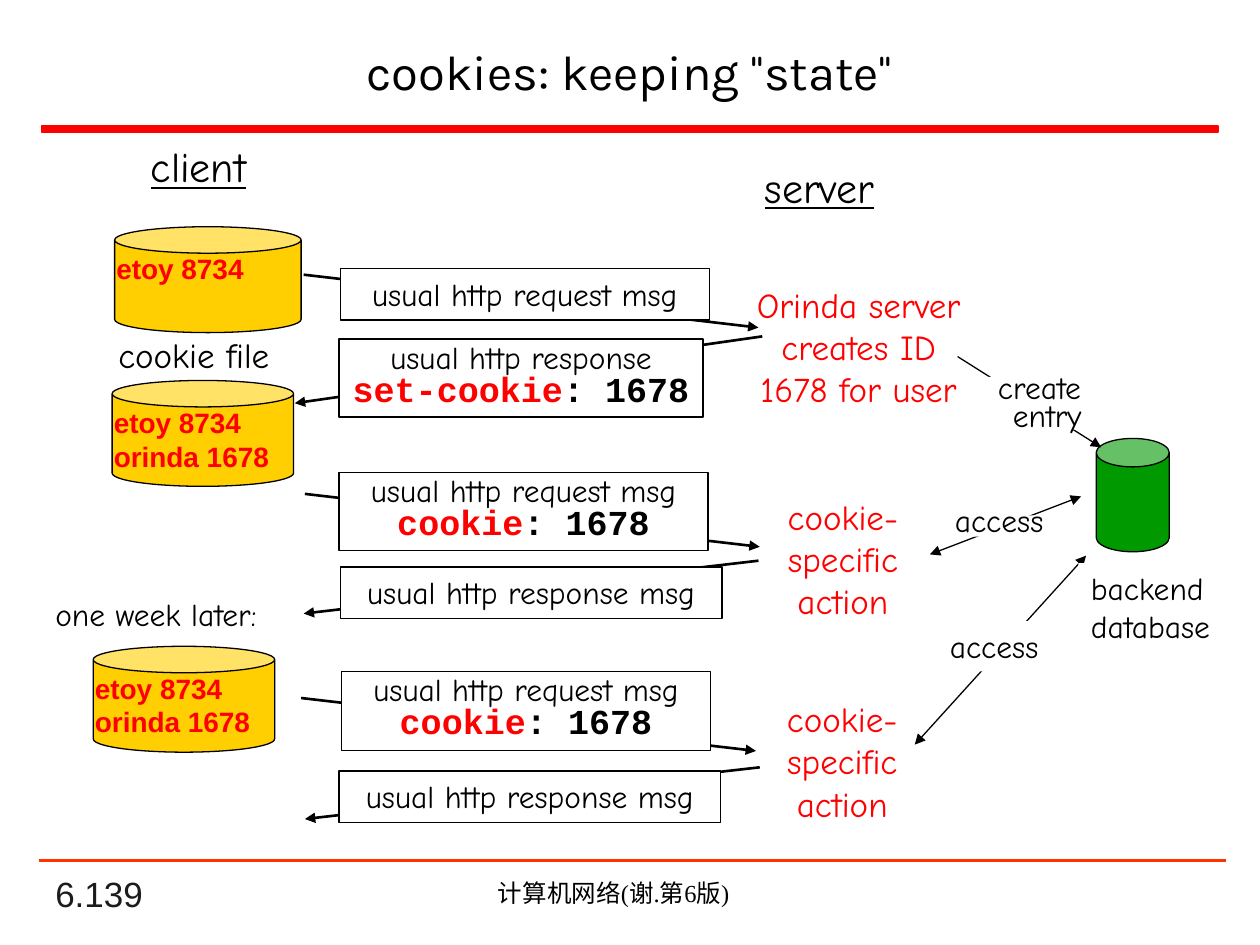
from dataclasses import dataclass
from typing import NamedTuple

from lxml import etree
from pptx import Presentation
from pptx.dml.color import RGBColor
from pptx.enum.shapes import MSO_CONNECTOR, MSO_SHAPE
from pptx.enum.text import MSO_ANCHOR, PP_ALIGN
from pptx.oxml.ns import qn
from pptx.util import Inches, Pt

RECT, CAN = MSO_SHAPE.RECTANGLE, MSO_SHAPE.CAN
LINE = MSO_CONNECTOR.STRAIGHT
TOP, MID, LOW = MSO_ANCHOR.TOP, MSO_ANCHOR.MIDDLE, MSO_ANCHOR.BOTTOM
LEFT, MIDST = PP_ALIGN.LEFT, PP_ALIGN.CENTER
COLS, ROWS, CELL = 100, 75, 0.1


class Ink(NamedTuple):
    """The look of a run of text."""
    font: str
    size: float
    color: str = "000000"
    bold: bool = False
    under: bool = False


@dataclass(frozen=True)
class Theme:
    """Colours and type styles of the slide."""
    black: str = "000000"
    white: str = "FFFFFF"
    red: str = "FF0000"
    rule: str = "FF3300"
    gold: str = "FFCF01"
    green: str = "009900"
    title: Ink = Ink("Karla", 28)
    quote: Ink = Ink("Comic Neue", 28)
    head: Ink = Ink("Comic Neue", 24, under=True)
    label: Ink = Ink("Comic Neue", 20)
    body: Ink = Ink("Comic Neue", 18)
    act: Ink = Ink("Comic Neue", 20, "FF0000")
    jar: Ink = Ink("Arial", 16, "FF0000", True)
    key: Ink = Ink("Courier New", 20, "FF0000", True)
    code: Ink = Ink("Courier New", 20, "000000", True)
    page: Ink = Ink("Arial", 20, "1C1C1C")
    foot: Ink = Ink("Times New Roman", 14)


class Box(NamedTuple):
    """A region of the slide, in grid cells."""
    x: float
    y: float
    w: float
    h: float

    def cut(self, x, y, w, h):
        """Return a box placed from this one's corner."""
        return Box(self.x + x, self.y + y, w, h)

    def size(self):
        """Return the box as slide lengths."""
        return [Inches(v * CELL) for v in self]


T = Theme()


def style(run, ink):
    """Give a run its look."""
    font = run.font
    font.name, font.size = ink.font, Pt(ink.size)
    font.bold, font.underline = ink.bold, ink.under
    font.color.rgb = RGBColor.from_string(ink.color)


def write(shape, rows, align=LEFT, wrap=False, anchor=TOP, gap=None):
    """Fill a shape with rows, each a list of text and ink pairs."""
    frame = shape.text_frame
    frame.word_wrap, frame.vertical_anchor = wrap, anchor
    frame.text = "\n".join(row[0][0] for row in rows)
    for para, row in zip(frame.paragraphs, rows):
        para.alignment = align
        if gap:
            para.line_spacing = gap
        for text, _ in row[1:]:
            para.add_run().text = text
        for run, (_, ink) in zip(para.runs, row):
            style(run, ink)


def plain(ink, *lines):
    """Return one row in a single ink for each line."""
    return [[(line, ink)] for line in lines]


def label(slide, box, rows, **look):
    """Add a text box and return it."""
    shape = slide.shapes.add_textbox(*box.size())
    write(shape, rows, **look)
    return shape


def block(slide, box, fill, line=None, width=0.75, kind=RECT):
    """Add a filled shape and return it."""
    shape = slide.shapes.add_shape(kind, *box.size())
    shape.shadow.inherit = False
    shape.fill.solid()
    shape.fill.fore_color.rgb = RGBColor.from_string(fill)
    if line:
        shape.line.color.rgb = RGBColor.from_string(line)
        shape.line.width = Pt(width)
    else:
        shape.line.fill.background()
    return shape


def arrow(slide, box, width, color=T.black, ends=("tailEnd",)):
    """Draw a line along the box's diagonal, with heads at its ends."""
    x, y, w, h = box.size()
    link = slide.shapes.add_connector(LINE, x, y, x + w, y + h)
    link.line.color.rgb = RGBColor.from_string(color)
    link.line.width = Pt(width)
    stroke = link._element.spPr.find(qn("a:ln"))
    for end in ends:
        etree.SubElement(stroke, qn("a:" + end), type="triangle")
    etree.SubElement(link._element.spPr, qn("a:effectLst"))


def border(slide, box):
    """Place the title, the rules and the footer."""
    label(slide, box.cut(3.4, 69.8, 20.8, 3.3), plain(T.page, "6.139"), anchor=LOW)
    block(slide, box.cut(3.3, 10, 93.4, 0.5), T.red, T.red, 1)
    arrow(slide, box.cut(3.1, 68.3, 94.2, 0), 1.5, T.rule, ())
    label(slide, box.cut(28.3, 69.2, 40.8, 3.4),
          plain(T.foot, "计算机网络(谢.第6版)"), align=MIDST, wrap=True)
    title = [("cookies: keeping ", T.title), ('"', T.quote),
             ("state", T.title), ('"', T.quote)]
    label(slide, box.cut(3.9, 2.2, 92.1, 6.9), [title],
          align=MIDST, wrap=True, anchor=MID)


def jar(slide, box, *lines):
    """Place a cookie file with its entries."""
    can = block(slide, box, T.gold, T.black, kind=CAN)
    can.adjustments[0] = 0.25
    label(slide, box.cut(-0.85, 1.5, 17.4, 6.4), plain(T.jar, *lines), wrap=True)


def client(slide, box):
    """Place the client column."""
    label(slide, box.cut(7, 0, 10.7, 5), plain(T.head, "client"), align=MIDST)
    label(slide, box.cut(5, 15.3, 19.5, 4.3), plain(T.label, "cookie file"))
    label(slide, box.cut(0, 36, 19.8, 4), plain(T.body, "one week later:"))
    old, new = "etoy 8734", "orinda 1678"
    jar(slide, box.cut(5.7, 7.3, 14.8, 8.4), old)
    jar(slide, box.cut(5.5, 19.5, 14.4, 8.4), old, new)
    jar(slide, box.cut(4, 40.6, 14.4, 8.4), old, new)


def lane(slide, box):
    """Place the messages that pass between client and server."""
    ask, reply = "usual http request msg", "usual http response msg"
    notes = (
        ((0.1, 0.6, 36.1, 4.2), (3, 0.1, 29.3, 4.1), ask, None),
        ((36.5, 5.5, -37.1, 5.3), (2.9, 5.7, 28.9, 6.2),
         "usual http response", "set-cookie"),
        ((0.2, 18, 36.1, 4.2), (2.9, 16.3, 29.3, 6.2), ask, "cookie"),
        ((36.2, 23.3, -36.1, 4.2), (3, 23.8, 30.3, 4.1), reply, None),
        ((-0.1, 34.2, 36.1, 4.2), (3.1, 32.1, 29.3, 6.3), ask, "cookie"),
        ((36.3, 39.7, -36.1, 4.1), (2.9, 40, 30.3, 4.1), reply, None),
    )
    for route, card, first, key in notes:
        arrow(slide, box.cut(*route), 1.5)
        rows = plain(T.body, first)
        if key:
            rows.append([(key, T.key), (": 1678", T.code)])
        write(block(slide, box.cut(*card), T.white, T.black), rows,
              align=MIDST, wrap=True, gap=0.8 if key else None)


def server(slide, box):
    """Place the server column."""
    label(slide, box.cut(1.5, 0, 12.1, 5), plain(T.head, "server"), align=MIDST)
    made = ("Orinda server", "creates ID", "1678 for user")
    act = ("cookie-", "specific", "action")
    for spot, lines in (((0, 9.7, 21.3, 11), made), ((3.3, 26.5, 12.2, 11), act),
                        ((3.2, 42.6, 12.3, 11.1), act)):
        label(slide, box.cut(*spot), plain(T.act, *lines), align=MIDST)


def store(slide, box):
    """Place the database and the links to it."""
    can = block(slide, box.cut(14.4, 6.5, 5.8, 9), T.green, T.black, kind=CAN)
    can.adjustments[0] = 0.39
    arrow(slide, box.cut(3.4, 0, 11.4, 7.2), 0.75)
    block(slide, box.cut(5, 1.6, 10.5, 4.2), T.white)
    entry = label(slide, box.cut(3.5, 1.1, 12.8, 5.5),
                  plain(T.body, "create", "entry"), wrap=True, gap=0.75)
    first, last = entry.text_frame.paragraphs
    first.alignment = MIDST
    last._p.get_or_add_pPr().set("marL", str(Inches(0.33)))
    links = (((1.2, 15.7, 12, -4.6), (3.9, 12.6, 6.7, 1.7), (2.2, 11, 9.7, 4)),
             ((0, 30.8, 13.6, -15), (1.8, 21, 9.7, 4), (1.8, 21, 9.7, 4)))
    for route, mask, spot in links:
        arrow(slide, box.cut(*route), 0.75, ends=("headEnd", "tailEnd"))
        block(slide, box.cut(*mask), T.white)
        label(slide, box.cut(*spot), plain(T.body, "access"))
    write(block(slide, box.cut(13, 16.4, 12.6, 7), T.white),
          plain(T.body, "backend", "database"))


def main():
    """Build and save the slide."""
    deck = Presentation()
    deck.slide_width, deck.slide_height = Inches(COLS * CELL), Inches(ROWS * CELL)
    slide = deck.slides.add_slide(deck.slide_layouts[6])
    border(slide, Box(0, 0, COLS, ROWS))
    client(slide, Box(3.4, 10.7, 24.5, 49))
    lane(slide, Box(24, 21.2, 36.5, 44.1))
    server(slide, Box(57.5, 12.3, 21.3, 53.7))
    store(slide, Box(72.6, 28.3, 25.6, 30.8))
    deck.save("out.pptx")


if __name__ == "__main__":
    main()
